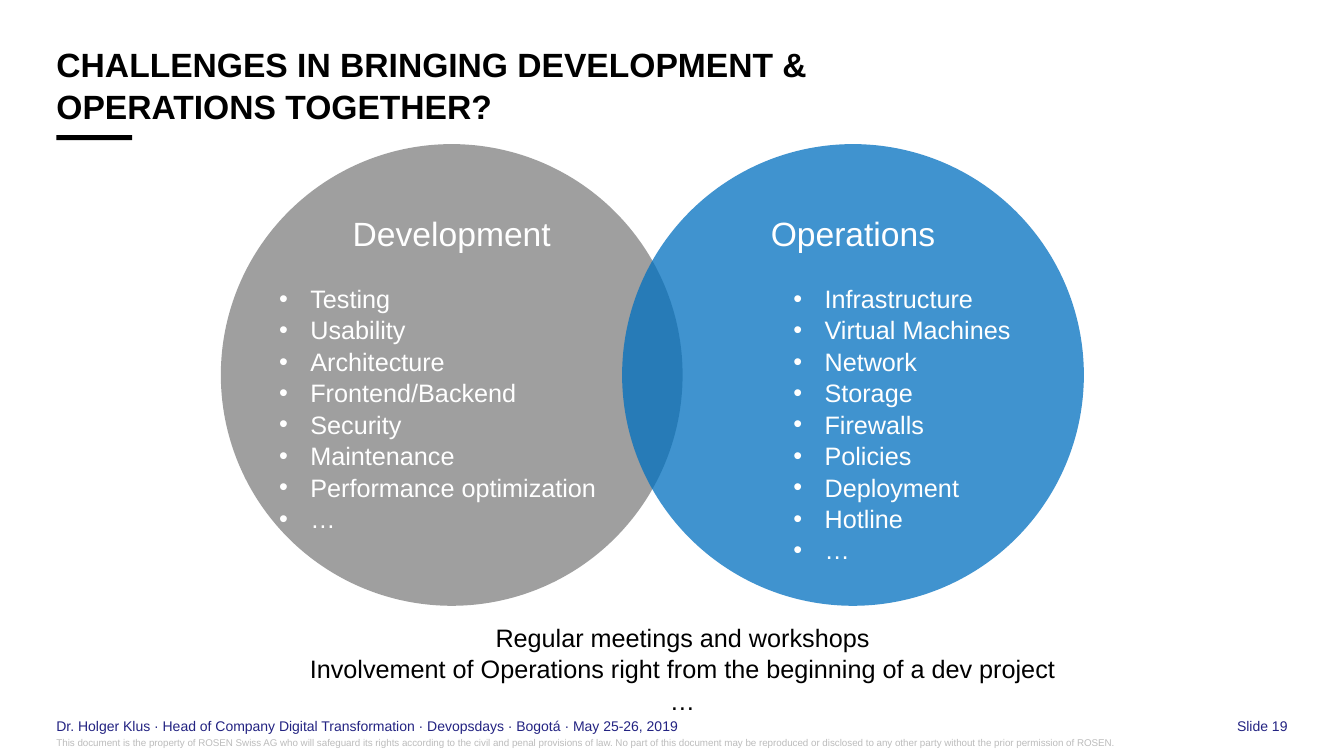
from pptx import Presentation
from pptx.dml.color import RGBColor
from pptx.enum.shapes import MSO_SHAPE as SHAPE
from pptx.enum.text import MSO_ANCHOR as ANCHOR, MSO_AUTO_SIZE as AUTO_SIZE, PP_ALIGN as ALIGN
from pptx.oxml.ns import qn
from pptx.util import Inches, Pt
from lxml import etree

MARGIN = 0.56
CIRCLE_TOP, CIRCLE_SIZE = 1.43, 4.58
LIST_TOP, LIST_HEIGHT = 2.75, 2.83
FOOTER_TOP, FOOTER_HEIGHT = 6.9, 0.6
BLACK, WHITE, NAVY = "000000", "FFFFFF", "232382"

DEVELOPMENT = ["Testing", "Usability", "Architecture", "Frontend/Backend", "Security",
               "Maintenance", "Performance optimization", "…"]
OPERATIONS = ["Infrastructure", "Virtual Machines", "Network", "Storage", "Firewalls",
              "Policies", "Deployment", "Hotline", "…"]
MEASURES = ["Regular meetings and workshops",
            "Involvement of Operations right from the beginning of a dev project", "…"]
NOTICE = ("This document is the property of ROSEN Swiss AG who will safeguard its rights "
          "according to the civil and penal provisions of law. No part of this document may be "
          "reproduced or disclosed to any other party without the prior permission of ROSEN.")


def color(hex_string):
    return RGBColor.from_string(hex_string)


def place(shape, box):
    shape.left, shape.top, shape.width, shape.height = map(Inches, box)


def add_bullet(paragraph):
    properties = paragraph._p.get_or_add_pPr()
    properties.set("marL", str(Inches(0.31)))
    properties.set("indent", str(-Inches(0.31)))
    etree.SubElement(properties, qn("a:buFont")).set("typeface", "Arial")
    etree.SubElement(properties, qn("a:buChar")).set("char", "•")


def write(shape, lines, size=18, fill=BLACK, bold=False, align=ALIGN.LEFT,
          anchor=ANCHOR.TOP, inset=(0, 0), bullets=False, spacing=1.04):
    """Fill a shape with one paragraph a line; inset is (horizontal, vertical)."""
    frame = shape.text_frame
    frame.word_wrap = True
    frame.auto_size = AUTO_SIZE.NONE
    frame.vertical_anchor = anchor
    frame.margin_left = frame.margin_right = Inches(inset[0])
    frame.margin_top = frame.margin_bottom = Inches(inset[1])
    for index, line in enumerate(lines):
        paragraph = frame.paragraphs[0] if index == 0 else frame.add_paragraph()
        paragraph.alignment = align
        paragraph.line_spacing = spacing
        if bullets:
            add_bullet(paragraph)
        run = paragraph.add_run()
        run.text = line
        run.font.name, run.font.size, run.font.bold = "Arial", Pt(size), bold
        run.font.color.rgb = color(fill)


def add_text(slide, box, lines, **text_format):
    write(slide.shapes.add_textbox(*map(Inches, box)), lines, **text_format)


def add_filled(slide, kind, box, fill, opacity=100):
    shape = slide.shapes.add_shape(kind, *map(Inches, box))
    shape.shadow.inherit = False
    shape.fill.solid()
    shape.fill.fore_color.rgb = color(fill)
    shape.line.fill.background()
    if opacity < 100:
        fill_color = shape._element.spPr.find(".//" + qn("a:srgbClr"))
        etree.SubElement(fill_color, qn("a:alpha")).set("val", str(opacity * 1000))
    return shape


def add_heading(slide, box):
    left, top, width, height = box
    title = slide.shapes.title
    place(title, box)
    write(title, ["CHALLENGES IN BRINGING DEVELOPMENT & OPERATIONS TOGETHER?"],
          size=24, bold=True, anchor=ANCHOR.BOTTOM)
    add_filled(slide, SHAPE.RECTANGLE, (left, top + height + 0.09, 0.75, 0.05), BLACK)


def add_circle(slide, left, name, fill):
    box = (left, CIRCLE_TOP, CIRCLE_SIZE, CIRCLE_SIZE)
    circle = add_filled(slide, SHAPE.OVAL, box, fill, opacity=75)
    write(circle, [name], size=24, fill=WHITE, align=ALIGN.CENTER)


def add_topics(slide, left, width, topics):
    add_text(slide, (left, LIST_TOP, width, LIST_HEIGHT), topics,
             fill=WHITE, inset=(0.1, 0.05), bullets=True)


def add_footer(slide, box):
    left, top, width, height = box
    number_width = 1.93
    footer_format = dict(size=10, fill=NAVY, anchor=ANCHOR.MIDDLE, spacing=1)
    add_text(slide, (left, top, 10.12, height),
             ["Dr. Holger Klus · Head of Company Digital Transformation · Devopsdays · "
              "Bogotá · May 25-26, 2019"], **footer_format)
    add_text(slide, (left + width - number_width, top, number_width, height),
             ["Slide 19"], align=ALIGN.RIGHT, **footer_format)
    add_text(slide, (left, top + 0.41, width, 0.12), [NOTICE],
             size=7, fill="BCBCBC", spacing=1)


def main():
    presentation = Presentation()
    presentation.slide_width, presentation.slide_height = Inches(13.33), Inches(7.5)
    slide = presentation.slides.add_slide(presentation.slide_layouts.get_by_name("Title Only"))

    add_heading(slide, (MARGIN, 0.42, 8.03, 0.83))
    add_circle(slide, 2.19, "Development", "808080")
    add_circle(slide, 6.17, "Operations", "0070C0")
    add_topics(slide, 2.67, 3.38, DEVELOPMENT)
    add_topics(slide, 7.77, 2.38, OPERATIONS)
    add_text(slide, (2.94, 6.11, 7.66, 1.01), MEASURES,
             align=ALIGN.CENTER, inset=(0.1, 0.05))
    add_footer(slide, (MARGIN, FOOTER_TOP, 12.21, FOOTER_HEIGHT))

    presentation.save("out.pptx")


if __name__ == "__main__":
    main()
